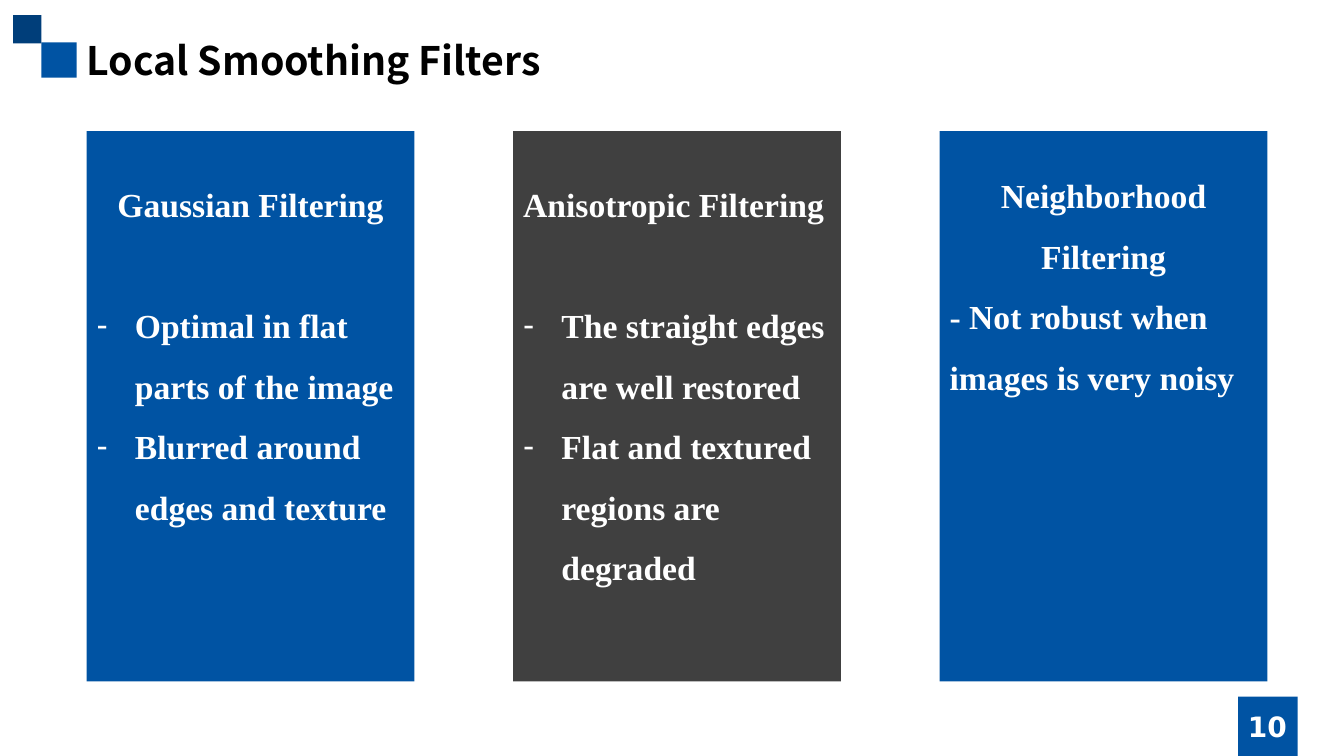
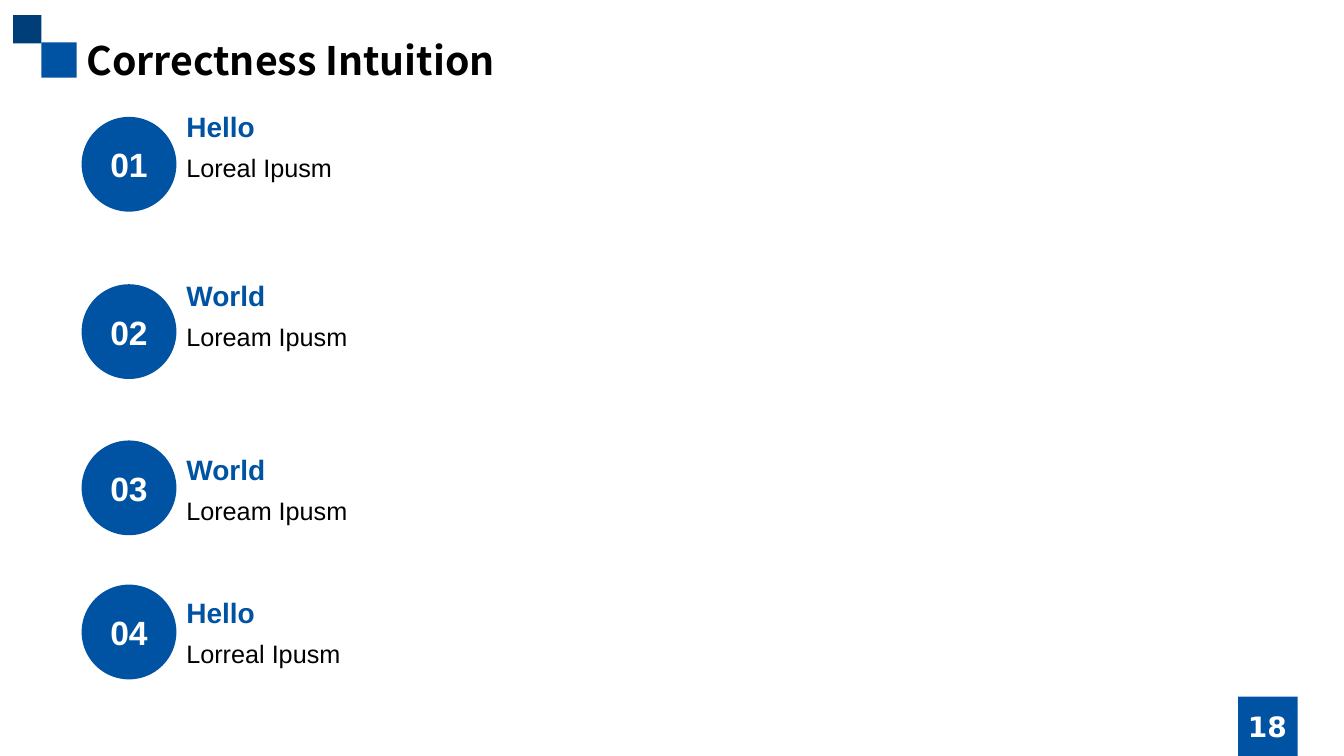
from lxml import etree
from pptx import Presentation
from pptx.dml.color import RGBColor
from pptx.enum import shapes, text
from pptx.oxml.ns import qn
from pptx.util import Inches, Pt

BLUE, NAVY, GRAY, WHITE, BLACK = "0053A3", "003E7A", "404040", "FFFFFF", "000000"
RECT, OVAL = shapes.MSO_SHAPE.RECTANGLE, shapes.MSO_SHAPE.OVAL
LEFT, MID = text.PP_ALIGN.LEFT, text.PP_ALIGN.CENTER

# left, top, size, colour
SQUARES = [(0.41, 0.42, 0.35, BLUE), (0.13, 0.15, 0.28, NAVY),
           (12.28, 6.91, 0.59, BLUE)]

# heading, alignment, colour, text top, text height, gap after heading, bulleted, points
CARDS = [
    ("Gaussian Filtering", MID, BLUE, 1.58, 3.66, 43, True,
     ["Optimal in flat parts of the image", "Blurred around edges and texture"]),
    ("Anisotropic Filtering", LEFT, GRAY, 1.58, 4.27, 43, True,
     ["The straight edges are well restored",
      "Flat and textured regions are degraded"]),
    ("Neighborhood Filtering", MID, BLUE, 1.49, 2.45, 0, False,
     ["- Not robust when images is very noisy"]),
]

# heading, detail, circle top, heading top
STEPS = [("Hello", "Loreal Ipusm", 1.16, 1.04),
         ("World", "Loream Ipusm", 2.82, 2.71),
         ("World", "Loream Ipusm", 4.37, 4.44),
         ("Hello", "Lorreal Ipusm", 5.8, 5.86)]


def rgb(code):
    return RGBColor.from_string(code)


def style(para, size, face, color, bold=True, align=LEFT, line=1):
    para.alignment, para.line_spacing = align, line
    for run in para.runs:
        font = run.font
        font.size, font.name, font.bold = Pt(size), face, bold
        font.color.rgb = rgb(color)


def block(slide, kind, box, color):
    shape = slide.shapes.add_shape(kind, *map(Inches, box))
    shape.shadow.inherit = False
    shape.fill.solid()
    shape.fill.fore_color.rgb = rgb(color)
    shape.line.fill.background()
    return shape


def label(slide, box, words, *look, **more):
    """Add a wrapping text box with one styled paragraph; return its frame."""
    frame = slide.shapes.add_textbox(*map(Inches, box)).text_frame
    frame.word_wrap = True
    frame.text = words
    style(frame.paragraphs[0], *look, **more)
    return frame


def dash(para):
    props = para._p.get_or_add_pPr()
    props.set("marL", str(Inches(0.38)))
    props.set("indent", str(-Inches(0.38)))
    etree.SubElement(props, qn("a:buFont")).set("typeface", "Arial")
    etree.SubElement(props, qn("a:buChar")).set("char", "-")


def page(deck, title, number, width):
    slide = deck.slides.add_slide(deck.slide_layouts[5])
    head = slide.shapes.title
    head.left, head.top, head.width, head.height = map(
        Inches, (0.76, 0.31, width, 0.57))
    frame = head.text_frame
    frame.text = title
    frame.vertical_anchor = text.MSO_ANCHOR.TOP
    frame.auto_size = text.MSO_AUTO_SIZE.NONE
    style(frame.paragraphs[0], 28, "Noto Sans CJK SC", BLACK)
    frame = label(slide, (11.81, 7.01, 1.52, 0.4), number,
                  20, "DejaVu Sans", WHITE, align=MID)
    frame.vertical_anchor = text.MSO_ANCHOR.MIDDLE
    return slide


def brand(slide):
    """Put the squares on the layout that all slides share."""
    tree = slide.slide_layout.shapes.element
    for left, top, size, color in SQUARES:
        tree.append(block(slide, RECT, (left, top, size, size), color).element)


def cards(slide):
    look = 24, "Times New Roman", WHITE
    for i, (name, align, color, top, height, gap, listed, points) in enumerate(CARDS):
        left = 0.86 + i * 4.23
        block(slide, RECT, (left, 1.3, 3.25, 5.46), color)
        frame = label(slide, (left, top, 3.25, height), name, *look,
                      align=align, line=1.5)
        frame.paragraphs[0].space_after = Pt(gap)
        for point in points:
            para = frame.add_paragraph()
            para.text = point
            style(para, *look, line=1.5)
            if listed:
                dash(para)


def steps(slide):
    for i, (name, detail, top, head) in enumerate(STEPS, 1):
        disc = block(slide, OVAL, (0.81, top, 0.94, 0.94), BLUE)
        frame = disc.text_frame
        frame.text = f"{i:02}"
        frame.vertical_anchor = text.MSO_ANCHOR.MIDDLE
        style(frame.paragraphs[0], 24, "Arial", WHITE, align=MID)
        label(slide, (1.75, head + 0.35, 10.83, 0.45), detail,
              18, "Arial", BLACK, bold=False, line=1.25)
        label(slide, (1.75, head, 10.83, 0.44), name, 20, "Arial", BLUE)


def main():
    deck = Presentation()
    deck.slide_width, deck.slide_height = Inches(13.33), Inches(7.5)
    first = page(deck, "Local Smoothing Filters", "10", 5.91)
    brand(first)
    cards(first)
    steps(page(deck, "Correctness Intuition", "18", 11.81))
    deck.save("out.pptx")


if __name__ == "__main__":
    main()
